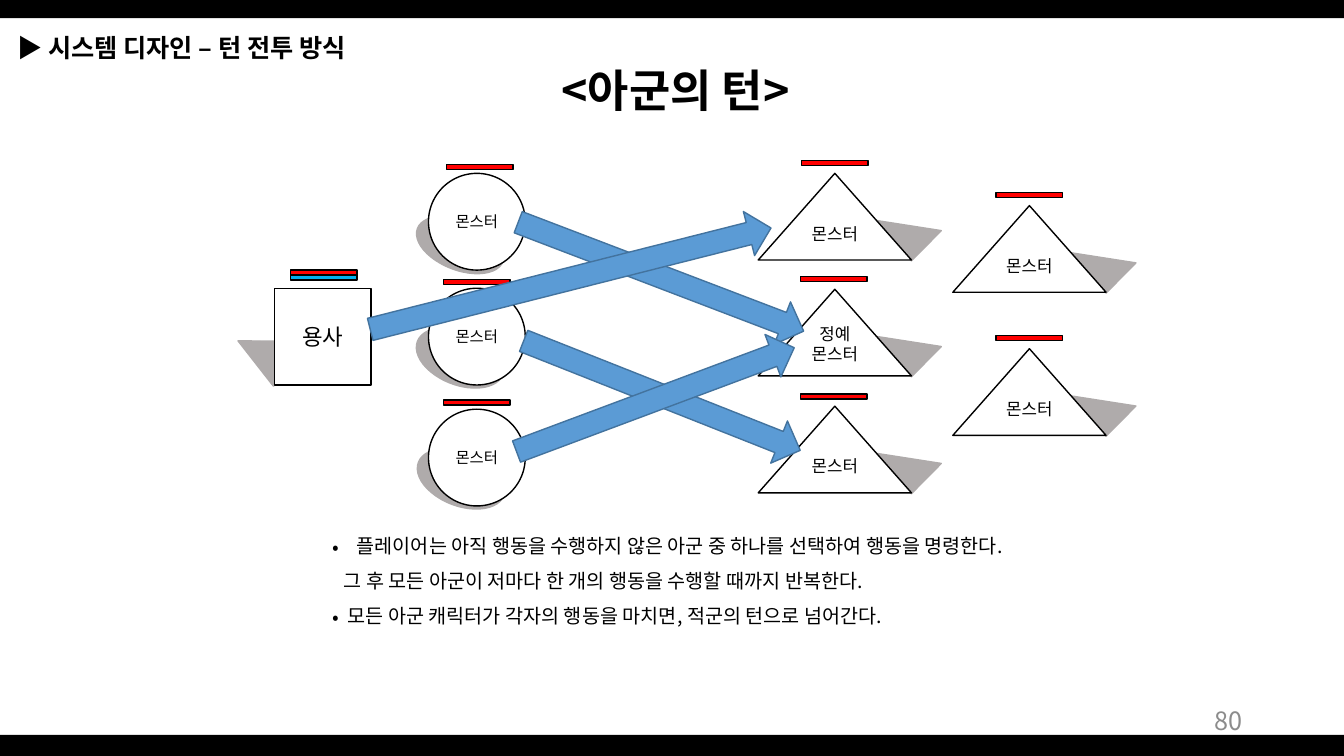
from lxml import etree
from pptx import Presentation
from pptx import util as u
from pptx.dml.color import RGBColor
from pptx.enum import shapes, text
from pptx.oxml.ns import qn

KIND = shapes.MSO_SHAPE
ALIGN = text.PP_ALIGN
ANCHOR = text.MSO_ANCHOR
FONT = "Noto Sans CJK KR"
BLACK = RGBColor(0, 0, 0)
WHITE = RGBColor(255, 255, 255)
SHADE = RGBColor(0xAF, 0xAB, 0xAB)
RED = RGBColor(255, 0, 0)
SKY = RGBColor(0, 0xB0, 0xF0)
BLUE = RGBColor(0x5B, 0x9B, 0xD5)
NAVY = RGBColor(0x43, 0x73, 0x9E)
GRAY = RGBColor(0x8C, 0x8C, 0x8C)

HEADING = [("▶\t", False, -3), ("시스템 디자인 – 턴 전투 방식", True, 0)]
TITLE = [("<", True, -3), ("아군의 턴", True, 0), (">", True, -3)]
PAGE_NUMBER = [("80", False, 0)]
RULES = [
    ("플레이어는 아직 행동을 수행하지 않은 아군 중 하나를 선택하여 행동을 명령한다.", 0.24, "•"),
    ("그 후 모든 아군이 저마다 한 개의 행동을 수행할 때까지 반복한다.", 0.11, None),
    ("모든 아군 캐릭터가 각자의 행동을 마치면, 적군의 턴으로 넘어간다.", 0.15, "•"),
]
HERO = ("용사", 2.72, 2.86)
ALLIES = [
    ("몬스터", 1.72, (4.11, 2.18, 0.91, 0.5), (4.43, 1.63)),
    ("몬스터", 2.86, (4.11, 3.28, 0.91, 0.54), (4.4, 2.77)),
    ("몬스터", 4.06, (4.12, 4.48, 0.91, 0.54), (4.4, 3.97)),
]
ENEMIES = [
    (["몬스터"], 7.52, 1.72, (7.95, 1.59)),
    (["정예", "몬스터"], 7.52, 2.87, (7.94, 2.74)),
    (["몬스터"], 7.52, 4.03, (7.94, 3.91)),
    (["몬스터"], 9.45, 2.04, (9.88, 1.91)),
    (["몬스터"], 9.45, 3.46, (9.88, 3.33)),
]
ATTACKS = [
    (5.04, 2.52, 3.03, 20.9),
    (3.61, 2.54, 4.1, 345.8),
    (5.09, 3.7, 2.95, 21.6),
    (5.03, 3.74, 2.94, 339.5),
]
UNIT = 0.96
BAR = (0.66, 0.05)

deck = Presentation()
deck.slide_width, deck.slide_height = u.Inches(13.33), u.Inches(7.5)
slide = deck.slides.add_slide(deck.slide_layouts[6])


def write(paragraph, words, size, color=BLACK, bold=False, spacing=0):
    run = paragraph.add_run()
    run.text = words
    run.font.size = u.Pt(size)
    run.font.bold = bold
    run.font.color.rgb = color
    run.font.name = FONT
    props = run.font._element
    etree.SubElement(props, qn("a:ea")).set("typeface", FONT)
    if spacing:
        props.set("spc", str(spacing * 100))


def draw(kind, box, fill, line=None, turn=0, lines=(), size=11, bottom=0):
    shape = slide.shapes.add_shape(kind, *map(u.Inches, box))
    shape.shadow.inherit = False
    shape.rotation = turn
    shape.fill.solid()
    shape.fill.fore_color.rgb = fill
    if line is None:
        shape.line.fill.background()
    else:
        shape.line.color.rgb = line
        shape.line.width = u.Pt(1)
    if lines:
        frame = shape.text_frame
        frame.margin_left = frame.margin_right = frame.margin_top = 0
        frame.margin_bottom = u.Inches(bottom)
        frame.vertical_anchor = ANCHOR.MIDDLE
        for i, words in enumerate(lines):
            paragraph = frame.add_paragraph() if i else frame.paragraphs[0]
            paragraph.alignment = ALIGN.CENTER
            write(paragraph, words, size)
    return shape


def text_frame(box):
    frame = slide.shapes.add_textbox(*map(u.Inches, box)).text_frame
    frame.word_wrap = True
    return frame


def label(box, runs, size, align=ALIGN.LEFT, color=BLACK, anchor=ANCHOR.TOP, tab=None):
    frame = text_frame(box)
    frame.vertical_anchor = anchor
    paragraph = frame.paragraphs[0]
    paragraph.alignment = align
    if tab:
        tabs = etree.SubElement(paragraph._p.get_or_add_pPr(), qn("a:tabLst"))
        stop = etree.SubElement(tabs, qn("a:tab"))
        stop.set("pos", str(u.Inches(tab)))
        stop.set("algn", "l")
    for words, bold, spacing in runs:
        write(paragraph, words, size, color, bold, spacing)


def health_bar(corner, fill=RED):
    draw(KIND.RECTANGLE, (*corner, *BAR), fill, BLACK)


for top in (0, 7.29):
    draw(KIND.RECTANGLE, (0, top, 13.33, 0.18 if top == 0 else 0.22), BLACK)
label((0.08, 0.27, 4.17, 0.4), HEADING, 18, tab=0.3)
label((3.29, 0.57, 6.82, 0.64), TITLE, 32, ALIGN.CENTER)
label((9.42, 6.95, 3, 0.4), PAGE_NUMBER, 18, ALIGN.RIGHT, GRAY, ANCHOR.MIDDLE)

rules = text_frame((3.2, 5.13, 8.08, 1.16))
for i, (words, margin, bullet) in enumerate(RULES):
    rule = rules.add_paragraph() if i else rules.paragraphs[0]
    rule.line_spacing = 1.5
    props = rule._p.get_or_add_pPr()
    props.set("marL", str(u.Inches(margin)))
    props.set("indent", str(-u.Inches(margin) if bullet else 0))
    if bullet:
        etree.SubElement(props, qn("a:buFont")).set("typeface", FONT)
        etree.SubElement(props, qn("a:buChar")).set("char", bullet)
    else:
        etree.SubElement(props, qn("a:buNone"))
    write(rule, words, 14)

hero_name, hero_left, hero_top = HERO
hero_shade = draw(KIND.ISOSCELES_TRIANGLE, (2.46, 3.1, 0.72, 0.57), SHADE, SHADE, 322)
hero_shade.adjustments[0] = 0
draw(KIND.RECTANGLE, (hero_left, hero_top, UNIT, UNIT), WHITE, BLACK, lines=[hero_name], size=16)
health_bar((2.88, 2.68))
health_bar((2.88, 2.73), SKY)

for name, top, shade, bar in ALLIES:
    draw(KIND.OVAL, shade, SHADE, SHADE, 21.1)
    draw(KIND.OVAL, (4.25, top, UNIT, UNIT), WHITE, BLACK, lines=[name])
    health_bar(bar)

for lines, left, top, bar in ENEMIES:
    shade = draw(KIND.ISOSCELES_TRIANGLE, (left + 1.24, top + 0.32, 0.53, 0.42), SHADE, SHADE, 49)
    shade.adjustments[0] = 0.94
    draw(KIND.ISOSCELES_TRIANGLE, (left, top, 1.52, 0.86), WHITE, BLACK,
         lines=lines, size=12, bottom=0.1 * len(lines))
    health_bar(bar)

for left, top, length, turn in ATTACKS:
    draw(KIND.RIGHT_ARROW, (left, top, length, 0.45), BLUE, NAVY, turn)

deck.save("out.pptx")
